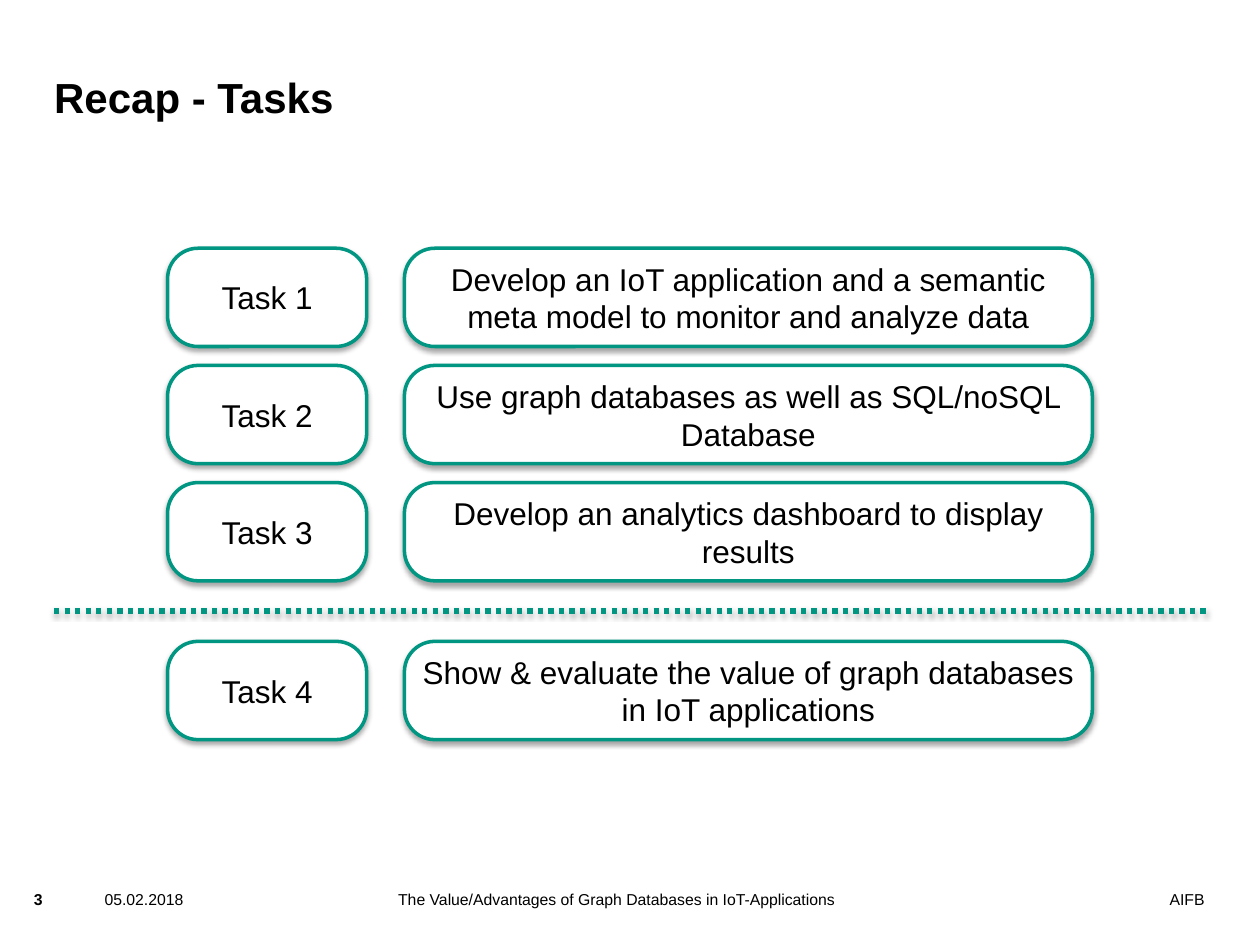
from lxml.etree import SubElement
from pptx import Presentation
from pptx.dml.color import RGBColor
from pptx.enum.dml import MSO_LINE
from pptx.enum.shapes import MSO_CONNECTOR, MSO_SHAPE
from pptx.enum.text import MSO_ANCHOR, PP_ALIGN
from pptx.oxml.ns import qn
from pptx.util import Inches, Pt

BLACK, WHITE, GREEN = map(RGBColor.from_string, ("000000", "FFFFFF", "009682"))


def write(s, text, size, bold=False, align=PP_ALIGN.LEFT,
          anchor=MSO_ANCHOR.TOP, inset=0, wrap=True, before=0):
    """Fill a shape with one styled paragraph."""
    tf = s.text_frame
    tf.word_wrap = wrap
    tf.vertical_anchor = anchor
    tf.margin_left = tf.margin_right = Inches(inset)
    tf.margin_top = tf.margin_bottom = Inches(inset)
    p = tf.paragraphs[0]
    p.text = text
    p.alignment = align
    p.space_before = Pt(before)
    p.font.name = "Arial"
    p.font.size = Pt(size)
    p.font.bold = bold
    p.font.color.rgb = BLACK


def drop_shadow(s, distance, opacity):
    """Add a soft shadow below a shape whose line is already set."""
    effects = SubElement(s._element.spPr, qn("a:effectLst"))
    shadow = SubElement(effects, qn("a:outerShdw"), blurRad=str(Pt(3)),
                        dist=str(Pt(distance)), dir="5400000", rotWithShape="0")
    color = SubElement(shadow, qn("a:srgbClr"), val="000000")
    SubElement(color, qn("a:alpha"), val=str(opacity * 1000))


prs = Presentation()
prs.slide_width, prs.slide_height = Inches(10), Inches(7.5)
slide = prs.slides.add_slide(prs.slide_layouts[6])
shapes = slide.shapes

# Footer
FOOTER_TOP, FOOTER_HEIGHT = 7.06, 0.14
footers = [
    ("AIFB", 6.57, 2.99, PP_ALIGN.RIGHT),
    ("05.02.2018", 0.83, 0.89, PP_ALIGN.LEFT),
    ("The Value/Advantages of Graph Databases in IoT-Applications",
     3.16, 3.68, PP_ALIGN.LEFT),
    ("3", 0.27, 0.14, PP_ALIGN.LEFT),
]
for text, left, width, align in footers:
    s = shapes.add_textbox(Inches(left), Inches(FOOTER_TOP),
                           Inches(width), Inches(FOOTER_HEIGHT))
    number = text.isdigit()
    write(s, text, 9, bold=number, align=align, wrap=not number, before=5)

# Title
MARGIN = 0.43
title = shapes.add_textbox(Inches(MARGIN), Inches(0.36), Inches(7.56), Inches(0.61))
write(title, "Recap - Tasks", 24, bold=True, anchor=MSO_ANCHOR.BOTTOM)

# Task rows: the last one stands below the divider
TOP, PITCH, ROW_HEIGHT, DIVIDER_GAP = 1.97, 0.93, 0.78, 0.33
COLUMNS = [(1.33, 1.58), (3.21, 5.46)]
tasks = [
    "Develop an IoT application and a semantic meta model to monitor and analyze data",
    "Use graph databases as well as SQL/noSQL Database",
    "Develop an analytics dashboard to display results",
    "Show & evaluate the value of graph databases in IoT applications",
]
for row, task in enumerate(tasks):
    top = TOP + row * PITCH + (DIVIDER_GAP if row == len(tasks) - 1 else 0)
    for (left, width), text in zip(COLUMNS, (f"Task {row + 1}", task)):
        s = shapes.add_shape(MSO_SHAPE.ROUNDED_RECTANGLE, Inches(left), Inches(top),
                             Inches(width), Inches(ROW_HEIGHT))
        s.adjustments[0] = 0.31
        s.fill.solid()
        s.fill.fore_color.rgb = WHITE
        s.line.color.rgb = GREEN
        s.line.width = Pt(2)
        drop_shadow(s, 1.8, 35)
        write(s, text, 18, align=PP_ALIGN.CENTER, anchor=MSO_ANCHOR.MIDDLE, inset=0.05)

# Divider
divider = shapes.add_connector(MSO_CONNECTOR.STRAIGHT, Inches(MARGIN), Inches(4.85),
                               Inches(10 - MARGIN), Inches(4.85))
divider.line.color.rgb = GREEN
divider.line.width = Pt(3)
divider.line.dash_style = MSO_LINE.ROUND_DOT
drop_shadow(divider, 1.6, 38)

prs.save("out.pptx")
